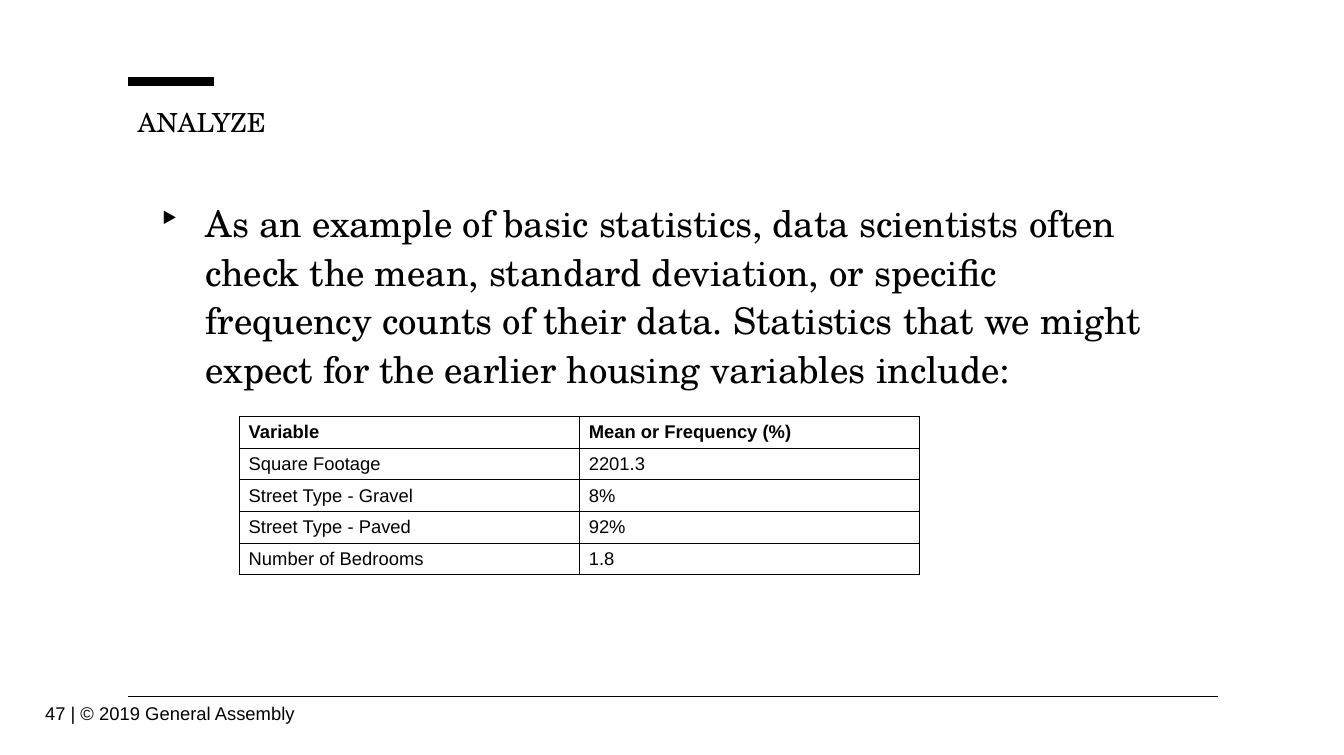
import dataclasses
import pptx
import pptx.dml.color
import pptx.enum.shapes
import pptx.enum.text
import pptx.oxml
import pptx.oxml.ns
import pptx.util
from lxml import etree

Cm = pptx.util.Cm
Pt = pptx.util.Pt
BLACK = pptx.dml.color.RGBColor(0, 0, 0)
WHITE = pptx.dml.color.RGBColor(255, 255, 255)
SERIF = "TeX Gyre Schola"
SANS = "Arial"
MIDDLE = pptx.enum.text.MSO_ANCHOR.MIDDLE
ALIGN = pptx.enum.text.PP_ALIGN


@dataclasses.dataclass
class Rule:
    left: float
    right: float
    top: float
    width: float


@dataclasses.dataclass
class Label:
    text: str
    left: float
    top: float
    width: float
    height: float
    size: int
    font: str = SERIF
    pad: tuple[float, float] = (0.25, 0.25)
    align: ALIGN = ALIGN.LEFT
    anchor: pptx.enum.text.MSO_ANCHOR = pptx.enum.text.MSO_ANCHOR.TOP
    bullet: str = ""


RULES = [Rule(3.45, 5.74, 2.18, 7), Rule(3.43, 32.74, 18.72, 0.75)]

LABELS = [
    Label("47 | © 2019 General Assembly", 0.58, 18.39, 7.98, 1.55, 14, SANS,
          (0.36, 0.36), ALIGN.CENTER, MIDDLE),
    Label("As an example of basic statistics, data scientists often check the "
          "mean, standard deviation, or specific frequency counts of their data. "
          "Statistics that we might expect for the earlier housing variables "
          "include:", 3.48, 5.03, 28.04, 4.75, 28, bullet="‣"),
    Label("ANALYZE", 3.45, 2.72, 14.33, 0.74, 20, pad=(0.25, 0.13)),
]

STATS = [
    ("Variable", "Mean or Frequency (%)"),
    ("Square Footage", "2201.3"),
    ("Street Type - Gravel", "8%"),
    ("Street Type - Paved", "92%"),
    ("Number of Bedrooms", "1.8"),
]


def style(para, font: str, size: int, bold: bool = False) -> None:
    para.font.name = font
    para.font.size = Pt(size)
    para.font.bold = bold
    para.font.color.rgb = BLACK


def add_rule(slide, rule: Rule) -> None:
    line = slide.shapes.add_connector(
        pptx.enum.shapes.MSO_CONNECTOR.STRAIGHT,
        Cm(rule.left), Cm(rule.top), Cm(rule.right), Cm(rule.top))
    line.line.color.rgb = BLACK
    line.line.width = Pt(rule.width)
    etree.SubElement(line._element.spPr, pptx.oxml.ns.qn("a:effectLst"))


def add_label(slide, label: Label) -> None:
    box = slide.shapes.add_textbox(Cm(label.left), Cm(label.top),
                                   Cm(label.width), Cm(label.height))
    frame = box.text_frame
    frame.word_wrap = True
    frame.vertical_anchor = label.anchor
    frame.margin_left = frame.margin_right = Cm(label.pad[0])
    frame.margin_top = frame.margin_bottom = Cm(label.pad[1])
    para = frame.paragraphs[0]
    para.text = label.text
    para.alignment = label.align
    if label.bullet:
        para.line_spacing = 1.1
        props = para._p.get_or_add_pPr()
        props.set("marL", str(Cm(1.8)))
        props.set("indent", str(Cm(-1.27)))
        mark = etree.SubElement(props, pptx.oxml.ns.qn("a:buChar"))
        mark.set("char", label.bullet)
    style(para, label.font, label.size)


def add_border(cell, width: float) -> None:
    props = cell._tc.get_or_add_tcPr()
    for spot, side in enumerate(("lnL", "lnR", "lnT", "lnB")):
        props.insert(spot, pptx.oxml.parse_xml(
            f'<a:{side} {pptx.oxml.ns.nsdecls("a")} w="{Pt(width)}">'
            f'<a:solidFill><a:srgbClr val="{BLACK}"/></a:solidFill></a:{side}>'))


def add_stats(slide) -> None:
    table = slide.shapes.add_table(len(STATS), 2, Cm(6.43), Cm(11.2),
                                   Cm(18.28), Cm(4.05)).table
    for row, texts in enumerate(STATS):
        for col, text in enumerate(texts):
            cell = table.cell(row, col)
            cell.text = text
            cell.vertical_anchor = MIDDLE
            cell.fill.solid()
            cell.fill.fore_color.rgb = WHITE
            style(cell.text_frame.paragraphs[0], SANS, 14, row == 0)
            add_border(cell, 0.75)


def main() -> None:
    deck = pptx.Presentation()
    deck.slide_width, deck.slide_height = Cm(36.12), Cm(20.29)
    slide = deck.slides.add_slide(deck.slide_layouts[6])
    # Rules and text
    for rule in RULES:
        add_rule(slide, rule)
    for label in LABELS:
        add_label(slide, label)
    # Statistics table
    add_stats(slide)
    deck.save("out.pptx")


if __name__ == "__main__":
    main()
